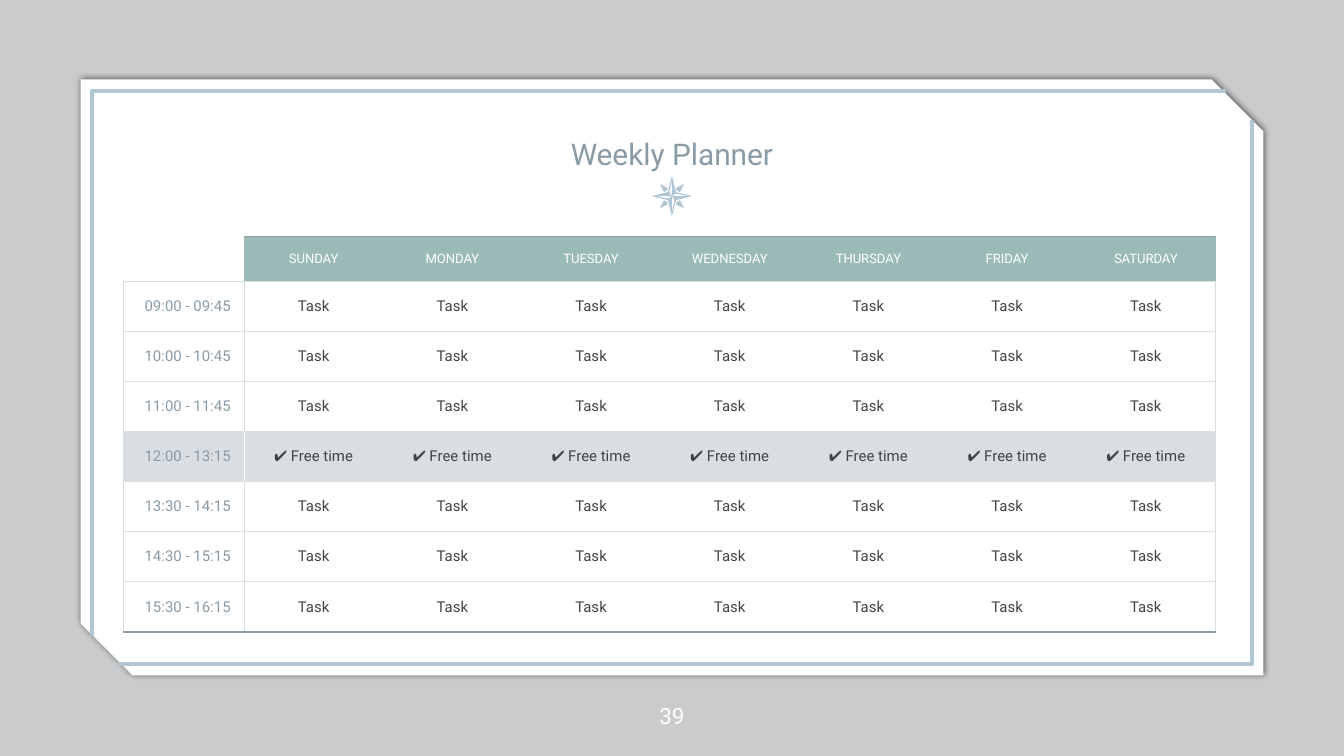
from dataclasses import dataclass

from lxml.etree import SubElement
from pptx import Presentation
from pptx.dml.color import RGBColor
from pptx.enum.shapes import MSO_SHAPE as Preset
from pptx.enum.text import MSO_ANCHOR as Anchor, MSO_AUTO_SIZE as AutoSize, PP_ALIGN as Align
from pptx.oxml.ns import qn
from pptx.util import Inches, Pt


@dataclass(frozen=True)
class Theme:
    font: str = "Roboto"
    backdrop: str = "040E11"
    shadow: str = "000000"
    white: str = "FFFFFF"
    sky: str = "B0C6D3"
    slate: str = "8A9BA6"
    teal: str = "99BAB6"
    mist: str = "D8DEE2"
    ink: str = "434343"
    title_size: float = 16
    number_size: float = 12
    day_size: float = 7
    body_size: float = 8
    frame_line: float = 2.25
    rule: float = 0.75


DAYS = ["SUNDAY", "MONDAY", "TUESDAY", "WEDNESDAY", "THURSDAY", "FRIDAY", "SATURDAY"]
HOURS = ["09:00 - 09:45", "10:00 - 10:45", "11:00 - 11:45", "12:00 - 13:15",
         "13:30 - 14:15", "14:30 - 15:15", "15:30 - 16:15"]
FREE_ROW = 4
CELL = Inches(0.1)  # the slide is a grid of 100 columns by 56.25 rows


def grid(*lengths):
    return [round(length * CELL) for length in lengths]


def color_child(parent, color, alpha=None):
    node = SubElement(parent, qn("a:srgbClr"), val=color)
    if alpha is not None:
        SubElement(node, qn("a:alpha"), val=str(alpha * 1000))


def quarter_turns(points):
    """Yield the points turned about the origin by 0, 90, 180 and 270 degrees."""
    for _ in range(4):
        yield points
        points = [(-y, x) for x, y in points]


class PlannerSlide:
    def __init__(self, deck, theme):
        self.theme = theme
        self.slide = deck.slides.add_slide(deck.slide_layouts[5])
        self.shapes = self.slide.shapes

    def format_text(self, frame, text, size, color, align=Align.CENTER):
        frame.text = text
        paragraph = frame.paragraphs[0]
        paragraph.alignment = align
        font = paragraph.runs[0].font
        font.name, font.size = self.theme.font, Pt(size)
        font.color.rgb = RGBColor.from_string(color)

    def format_box(self, frame, anchor):
        frame.margin_left = frame.margin_top = frame.margin_right = frame.margin_bottom = 0
        frame.word_wrap, frame.auto_size = True, AutoSize.NONE
        frame.vertical_anchor = anchor

    def title(self, text, left, top, width, height):
        title = self.shapes.title
        title.left, title.top, title.width, title.height = grid(left, top, width, height)
        title.element.getparent().append(title.element)  # bring in front of the card
        self.format_box(title.text_frame, Anchor.BOTTOM)
        self.format_text(title.text_frame, text, self.theme.title_size, self.theme.slate)

    def page_number(self, text, left, top, width, height):
        frame = self.shapes.add_textbox(*grid(left, top, width, height)).text_frame
        self.format_box(frame, Anchor.MIDDLE)
        self.format_text(frame, text, self.theme.number_size, self.theme.white)

    def panel(self, preset, color, left, top, width, height):
        panel = self.shapes.add_shape(preset, *grid(left, top, width, height))
        panel.shadow.inherit = False
        panel.fill.solid()
        panel.fill.fore_color.rgb = RGBColor.from_string(color)
        panel.line.fill.background()
        return panel

    def backdrop(self):
        panel = self.panel(Preset.RECTANGLE, self.theme.backdrop, 0, 0, 100, 56.25)
        tint = panel.element.spPr.find(f"{qn('a:solidFill')}/{qn('a:srgbClr')}")
        SubElement(tint, qn("a:alpha"), val="21000")

    def card(self, left, top, width, height):
        card = self.panel(Preset.SNIP_2_DIAG_RECTANGLE, self.theme.white,
                          left, top, width, height)
        card.adjustments[0], card.adjustments[1] = 0, 0.087
        effects = card.element.spPr.find(qn("a:effectLst"))
        shadow = SubElement(effects, qn("a:outerShdw"), blurRad=str(Pt(3.4)),
                            dist=str(Pt(0.8)), dir="0", algn="ctr", rotWithShape="0")
        color_child(shadow, self.theme.shadow, 55)

    def outline(self, contours, close):
        """Draw contours of grid points as one shape."""
        builder = None
        for contour in contours:
            start, *rest = [grid(*point) for point in contour]
            if builder is None:
                builder = self.shapes.build_freeform(*start)
            else:
                builder.move_to(*start)
            builder.add_line_segments(rest, close=close)
        shape = builder.convert_to_shape()
        shape.shadow.inherit = False
        return shape

    def frame_line(self, points):
        line = self.outline([points], close=False)
        line.fill.background()
        line.line.color.rgb = RGBColor.from_string(self.theme.sky)
        line.line.width = Pt(self.theme.frame_line)

    def compass(self, center_x, center_y):
        def ray(x, y):
            return center_x + x, center_y + y

        needles = [[needle] for needle in
                   quarter_turns([(-0.9, -0.9), (-0.6, -0.3), (-0.4, -0.4), (-0.3, -0.6)])]
        star = [point for arm in quarter_turns([(0, -1.5), (0.3, -0.3)]) for point in arm]
        cutouts = quarter_turns([(0, -1.2), (0, 0), (-0.2, -0.3)])
        for contours in [*needles, [star, *cutouts]]:
            piece = self.outline([[ray(*p) for p in contour] for contour in contours], close=True)
            piece.fill.solid()
            piece.fill.fore_color.rgb = RGBColor.from_string(self.theme.sky)
            piece.line.fill.background()

    def rule_across(self, edge, column, last):
        if edge == 0:
            return self.theme.slate if column else None
        return self.theme.slate if edge == last else self.theme.mist

    def rule_down(self, edge, row, last):
        if row == 0:
            return self.theme.teal if edge in (1, last) else None
        if edge == 1 and row == FREE_ROW:
            return self.theme.white
        return self.theme.mist if edge in (0, 1, last) else None

    def borders(self, cell, **colors):
        properties = cell._tc.get_or_add_tcPr()
        for side, color in colors.items():
            line = SubElement(properties, qn(f"a:ln{side}"), w=str(Pt(self.theme.rule)))
            if color:
                color_child(SubElement(line, qn("a:solidFill")), color)
            else:
                SubElement(line, qn("a:noFill"))

    def planner(self, left, top, width, height, hour_width, head_height):
        theme = self.theme
        rows, columns = len(HOURS) + 1, len(DAYS) + 1
        table = self.shapes.add_table(rows, columns, *grid(left, top, width, height)).table
        table.first_row = table.horz_banding = False
        for j, column in enumerate(table.columns):
            column.width, = grid((width - hour_width) / len(DAYS) if j else hour_width)
        for i, row in enumerate(table.rows):
            row.height, = grid((height - head_height) / len(HOURS) if i else head_height)
            fill = theme.teal if i == 0 else theme.mist if i == FREE_ROW else None
            for j, cell in enumerate(row.cells):
                self.borders(cell,
                             L=self.rule_down(j, i, columns), R=self.rule_down(j + 1, i, columns),
                             T=self.rule_across(i, j, rows), B=self.rule_across(i + 1, j, rows))
                cell.margin_left = cell.margin_right = CELL
                cell.margin_top = cell.margin_bottom = CELL
                cell.vertical_anchor = Anchor.MIDDLE
                if fill and (i or j):
                    cell.fill.solid()
                    cell.fill.fore_color.rgb = RGBColor.from_string(fill)
                else:
                    cell.fill.background()
                if i and j:
                    task = "✔ Free time" if i == FREE_ROW else "Task"
                    self.format_text(cell.text_frame, task, theme.body_size, theme.ink)
                elif i:
                    self.format_text(cell.text_frame, HOURS[i - 1], theme.body_size,
                                     theme.slate, Align.RIGHT)
                elif j:
                    self.format_text(cell.text_frame, DAYS[j - 1], theme.day_size, theme.white)
                else:  # a small empty line keeps the heading row low
                    SubElement(cell.text_frame.paragraphs[0]._p, qn("a:endParaRPr"),
                               sz=str(theme.day_size * 100))


def main():
    deck = Presentation()
    deck.slide_width, deck.slide_height = grid(100, 56.25)
    page = PlannerSlide(deck, Theme())
    page.backdrop()
    page.card(6, 5.9, 88, 44.35)
    page.frame_line([(6.85, 47.3), (6.85, 6.8), (91.25, 6.8)])
    page.frame_line([(93.15, 8.9), (93.15, 49.4), (8.75, 49.4)])
    page.compass(50, 14.6)
    page.title("Weekly Planner", 11, 6.8, 78, 6)
    page.page_number("39", 47, 50.25, 6, 6)
    page.planner(9.18, 17.6, 81.25, 29.45, hour_width=9, head_height=3.33)
    deck.save("out.pptx")


if __name__ == "__main__":
    main()
